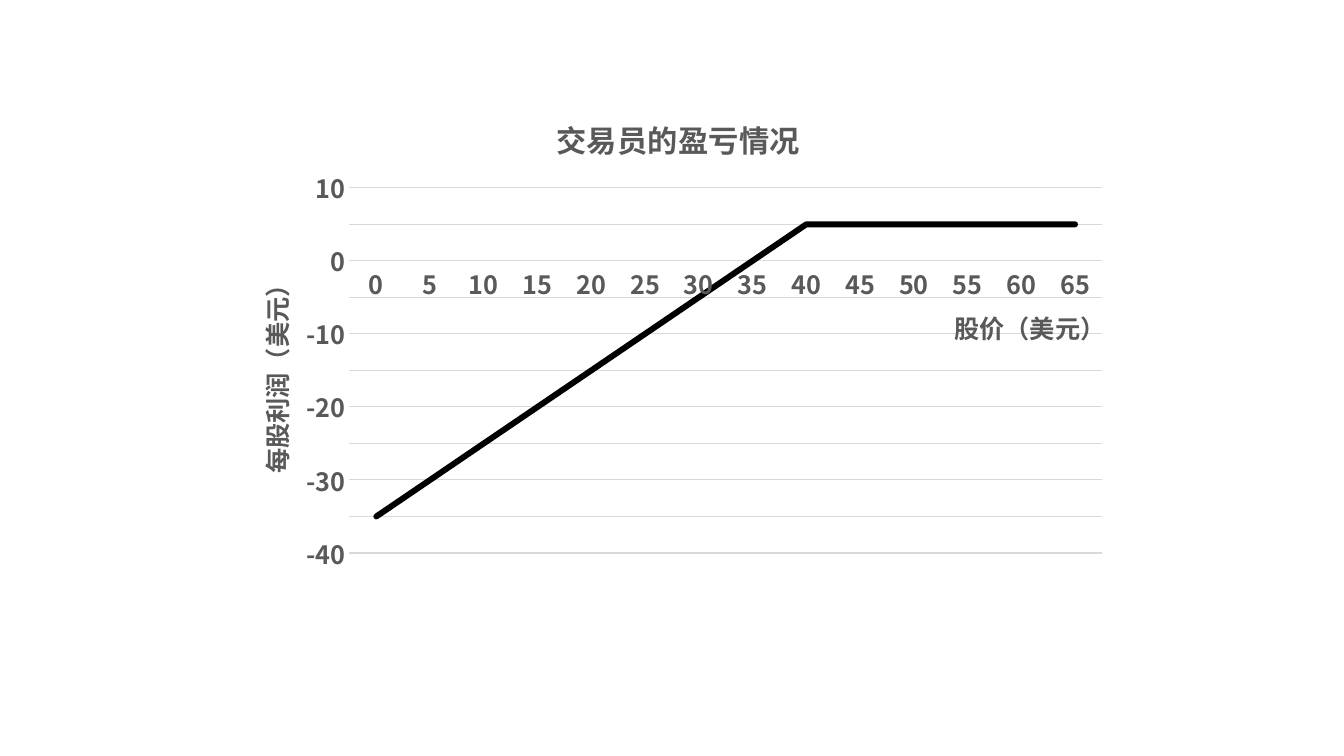
import copy
from dataclasses import dataclass

import pptx
import pptx.chart.data
import pptx.dml.color
import pptx.enum.chart
import pptx.oxml
import pptx.oxml.ns
import pptx.util

RGB = pptx.dml.color.RGBColor.from_string
Pt = pptx.util.Pt


@dataclass(frozen=True)
class Theme:
    font: str = "Noto Sans CJK SC"
    ink: str = "000000"
    text: str = "595959"
    grid: str = "D9D9D9"
    title_size: float = 21.6
    label_size: float = 18
    hairline: float = 0.75
    profit_line: float = 4.25


@dataclass(frozen=True)
class Place:
    """Position and size as shares of the parent."""
    x: float
    y: float
    w: float = 0
    h: float = 0


@dataclass(frozen=True)
class Caption:
    text: str
    size: float
    place: Place


THEME = Theme()
CHART = Place(1 / 6, 0.105, 2 / 3, 0.755)
PLOT = Place(0.14, 0.19, 0.84, 0.64)
TITLE = Caption("交易员的盈亏情况", THEME.title_size, Place(0.365, 0.05))
PRICE = Caption("股价（美元）", THEME.label_size, Place(0.81, 0.39))
PROFIT = Caption("每股利润（美元）", THEME.label_size, Place(0.03, 0.33))

STRIKE, PREMIUM = 40, 5
PRICES = range(0, 70, 5)


def set_layout(parent, place: Place, inner: bool = False) -> None:
    """Give a title or the plot area a fixed layout."""
    tags = ['<c:layoutTarget val="inner"/>'] if inner else []
    tags += [f'<c:{k}Mode val="edge"/>' for k in "xy"]
    tags += [f'<c:{k} val="{getattr(place, k)}"/>' for k in ("xywh" if inner else "xy")]
    layout = pptx.oxml.parse_xml(
        f'<c:layout {pptx.oxml.ns.nsdecls("c")}><c:manualLayout>'
        f'{"".join(tags)}</c:manualLayout></c:layout>')
    old = parent.find(pptx.oxml.ns.qn("c:layout"))
    if old is not None:
        parent.remove(old)
    tx = parent.find(pptx.oxml.ns.qn("c:tx"))
    parent.insert(0 if tx is None else 1, layout)


def style_font(font, size: float) -> None:
    font.name = THEME.font
    font.size = Pt(size)
    font.bold = True
    font.color.rgb = RGB(THEME.text)


def style_line(line, color: str, width: float) -> None:
    line.color.rgb = RGB(color)
    line.width = Pt(width)


def add_caption(title, caption: Caption) -> None:
    p = title.text_frame.paragraphs[0]
    p.text = caption.text
    style_font(p.runs[0].font, caption.size)
    set_layout(title._element, caption.place)


def style_axis(axis, caption: Caption) -> None:
    axis.major_tick_mark = pptx.enum.chart.XL_TICK_MARK.NONE
    axis.minor_tick_mark = pptx.enum.chart.XL_TICK_MARK.NONE
    style_font(axis.tick_labels.font, THEME.label_size)
    add_caption(axis.axis_title, caption)


def style_gridlines(axis) -> None:
    """Draw major and minor grid lines alike."""
    axis.has_major_gridlines = axis.has_minor_gridlines = True
    style_line(axis.major_gridlines.format.line, THEME.grid, THEME.hairline)
    major, minor = (axis._element.find(pptx.oxml.ns.qn(f"c:{k}Gridlines"))
                    for k in ("major", "minor"))
    minor.append(copy.deepcopy(major[0]))


def add_profit_chart(prs, s) -> None:
    # Profit rises with the price up to the strike, then stays at the premium
    data = pptx.chart.data.CategoryChartData()
    data.categories = [str(price) for price in PRICES]
    data.add_series("Series 1", [min(price, STRIKE) - STRIKE + PREMIUM for price in PRICES])
    w, h = prs.slide_width, prs.slide_height
    chart = s.shapes.add_chart(
        pptx.enum.chart.XL_CHART_TYPE.LINE, int(CHART.x * w), int(CHART.y * h),
        int(CHART.w * w), int(CHART.h * h), data).chart
    style_font(chart.font, THEME.label_size)
    chart.has_legend = False
    chart.has_title = True
    add_caption(chart.chart_title, TITLE)
    set_layout(chart._chartSpace.chart.plotArea, PLOT, inner=True)

    # Price axis
    style_axis(chart.category_axis, PRICE)
    style_line(chart.category_axis.format.line, THEME.grid, THEME.hairline)

    # Profit axis: labels every 10, grid lines every 5
    axis = chart.value_axis
    style_axis(axis, PROFIT)
    axis.minimum_scale, axis.maximum_scale = -40, 10
    axis.major_unit, axis.minor_unit = 10, 5
    style_gridlines(axis)
    axis.format.line.fill.background()

    # Profit line
    chart.plots[0].vary_by_categories = False
    series = chart.plots[0].series[0]
    series.smooth = False
    series.marker.style = pptx.enum.chart.XL_MARKER_STYLE.NONE
    line = series.format.line
    style_line(line, THEME.ink, THEME.profit_line)
    ln = line._get_or_add_ln()
    ln.set("cap", "rnd")
    ln.append(pptx.oxml.parse_xml(f'<a:round {pptx.oxml.ns.nsdecls("a")}/>'))


def main() -> None:
    prs = pptx.Presentation()
    prs.slide_width = pptx.util.Inches(13.33)
    prs.slide_height = pptx.util.Inches(7.5)
    s = prs.slides.add_slide(prs.slide_layouts[6])
    add_profit_chart(prs, s)
    prs.save("out.pptx")


if __name__ == "__main__":
    main()
